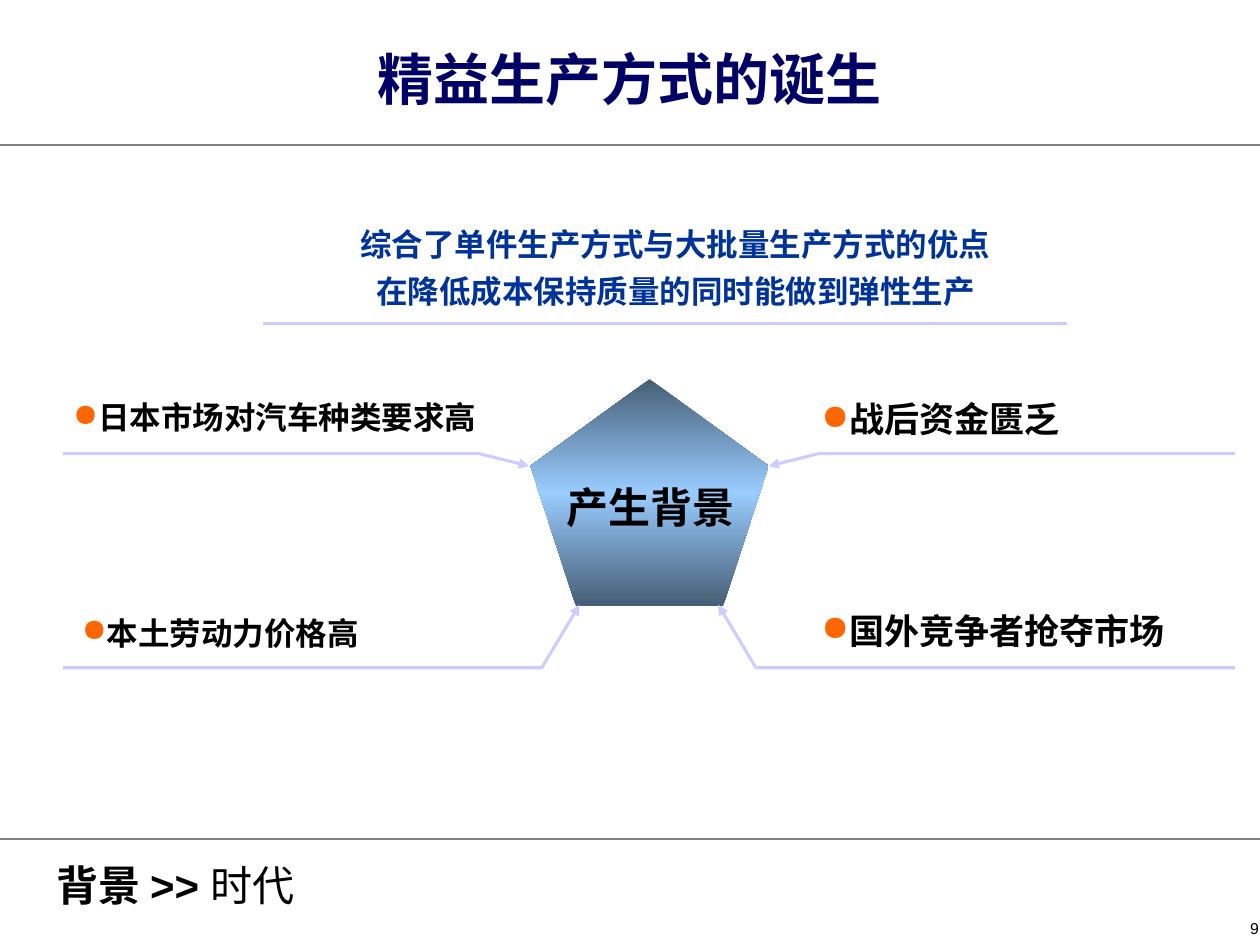
import copy
import dataclasses
import typing

import lxml.etree
import pptx
import pptx.dml.color
import pptx.enum.shapes
import pptx.enum.text
import pptx.oxml.ns
import pptx.util

RGBColor = pptx.dml.color.RGBColor
Align = pptx.enum.text.PP_ALIGN
Anchor = pptx.enum.text.MSO_ANCHOR

COLUMNS, ROWS = 100, 75
CELL = pptx.util.Inches(0.1)
AXIS = 51.5
FONT = "Arial"

BLACK = RGBColor(0x00, 0x00, 0x00)
NAVY = RGBColor(0x00, 0x00, 0x66)
BLUE = RGBColor(0x00, 0x33, 0x99)
GRAY = RGBColor(0x80, 0x80, 0x80)
LAVENDER = RGBColor(0xCC, 0xCC, 0xFF)
ORANGE = RGBColor(0xFF, 0x66, 0x00)
STEEL = RGBColor(0x46, 0x5E, 0x75)
SKY = RGBColor(0x99, 0xCC, 0xFF)

Point = tuple[float, float]


@dataclasses.dataclass(frozen=True)
class Label:
    """A block of text placed on the grid; each line is a tuple of (text, bold) runs."""
    column: float
    row: float
    width: float
    height: float
    lines: tuple[tuple[tuple[str, bool], ...], ...]
    size: float
    color: RGBColor = BLACK
    align: typing.Any = Align.LEFT
    anchor: typing.Any = Anchor.BOTTOM
    inset: Point = (0, 0)
    space_before: float = 0
    line_spacing: float = 1.0
    bullet: bool = False
    wrap: bool = True


@dataclasses.dataclass(frozen=True)
class Rule:
    """A horizontal line on the grid."""
    start: float
    end: float
    row: float
    color: RGBColor
    weight: float


def bold_lines(*texts: str) -> tuple[tuple[tuple[str, bool], ...], ...]:
    """Return one bold run per line."""
    return tuple(((text, True),) for text in texts)


def cause(column: float, row: float, width: float, height: float, text: str, size: float) -> Label:
    """Return a bulleted cause around the pentagon."""
    return Label(column, row, width, height, bold_lines(text), size, space_before=6, bullet=True)


PADDED = (1, 0.5)
LABELS = (
    Label(93.2, 72.6, 7.7, 2.3, ((("9", False),),), 9, align=Align.RIGHT, anchor=Anchor.TOP,
          inset=PADDED, line_spacing=0.9, wrap=False),
    Label(5, 3, 90, 12.5, bold_lines("精益生产方式的诞生"), 32, NAVY, Align.CENTER, Anchor.TOP, PADDED),
    Label(3.5, 68.2, 28.4, 4.6, ((("背景 >> ", True), ("时代", False)),), 24, anchor=Anchor.TOP,
          inset=PADDED, space_before=7.5, line_spacing=0.9),
    cause(65.2, 48.4, 32.4, 3.3, "国外竞争者抢夺市场", 20),
    cause(65.2, 31.6, 32.4, 3.3, "战后资金匮乏", 20),
    cause(6.5, 48.7, 35, 3, "本土劳动力价格高", 18),
    cause(5.8, 31.6, 35, 3, "日本市场对汽车种类要求高", 18),
    Label(43.6, 38.2, 16, 4, bold_lines("产生背景"), 24, align=Align.CENTER,
          anchor=Anchor.MIDDLE, space_before=7.5),
    Label(27.2, 17.8, 52.8, 6.8,
          bold_lines("综合了单件生产方式与大批量生产方式的优点", "在降低成本保持质量的同时能做到弹性生产"),
          18, BLUE, Align.CENTER, space_before=5.6),
)
RULES = (
    Rule(0, COLUMNS, 66.6, GRAY, 0.75),
    Rule(0, COLUMNS, 11.5, GRAY, 0.75),
    Rule(20.9, 84.7, 25.7, LAVENDER, 1.75),
)
LEFT_LEADERS: tuple[tuple[Point, ...], ...] = (
    ((41.9, 37), (37.6, 35.9), (5.3, 36)),
    ((45.6, 48.2), (43, 52.7), (5.4, 52.6)),
)


def grid(cells: float) -> int:
    """Convert grid cells to a length."""
    return round(cells * CELL)


def add_child(parent: typing.Any, tag: str, **attributes: str) -> typing.Any:
    """Append a DrawingML element."""
    return lxml.etree.SubElement(parent, pptx.oxml.ns.qn(tag), attributes)


def draw_label(slide: typing.Any, label: Label) -> None:
    """Draw a block of text."""
    box = slide.shapes.add_textbox(*map(grid, (label.column, label.row, label.width, label.height)))
    frame = box.text_frame
    frame.word_wrap = label.wrap
    frame.vertical_anchor = label.anchor
    frame.margin_left = frame.margin_right = grid(label.inset[0])
    frame.margin_top = frame.margin_bottom = grid(label.inset[1])
    for index, line in enumerate(label.lines):
        paragraph = frame.add_paragraph() if index else frame.paragraphs[0]
        paragraph.alignment = label.align
        paragraph.space_before = pptx.util.Pt(label.space_before)
        paragraph.line_spacing = label.line_spacing
        if label.bullet:
            properties = paragraph._p.get_or_add_pPr()
            add_child(add_child(properties, "a:buClr"), "a:srgbClr", val=str(ORANGE))
            add_child(properties, "a:buChar", char="●")
        paragraph.font.name = FONT
        paragraph.font.size = pptx.util.Pt(label.size)
        paragraph.font.color.rgb = label.color
        for text, bold in line:
            run = paragraph.add_run()
            run.text = text
            run.font.bold = bold


def draw_rule(slide: typing.Any, rule: Rule) -> None:
    """Draw a horizontal line."""
    connector = slide.shapes.add_connector(
        pptx.enum.shapes.MSO_CONNECTOR.STRAIGHT,
        grid(rule.start), grid(rule.row), grid(rule.end), grid(rule.row))
    connector.line.color.rgb = rule.color
    connector.line.width = pptx.util.Pt(rule.weight)
    add_child(connector._element.spPr, "a:effectLst")


def draw_leader(slide: typing.Any, points: typing.Sequence[Point]) -> None:
    """Draw a bent line with an arrowhead at its first point."""
    builder = slide.shapes.build_freeform(*points[0], scale=CELL)
    builder.add_line_segments(points[1:], close=False)
    leader = builder.convert_to_shape()
    leader.shadow.inherit = False
    leader.fill.background()
    leader.line.color.rgb = LAVENDER
    leader.line.width = pptx.util.Pt(1.75)
    add_child(leader.line._get_or_add_ln(), "a:headEnd", type="triangle")


def draw_pentagon(slide: typing.Any) -> None:
    """Draw the central pentagon with a light band across its middle."""
    pentagon = slide.shapes.add_shape(
        pptx.enum.shapes.MSO_SHAPE.REGULAR_PENTAGON, *map(grid, (42.1, 30.1, 18.9, 18)))
    pentagon.shadow.inherit = False
    pentagon.line.fill.background()
    pentagon.fill.gradient()
    pentagon.fill.gradient_angle = 90
    stop_list = pentagon._element.spPr.find(".//" + pptx.oxml.ns.qn("a:gsLst"))
    stop_list.insert(1, copy.deepcopy(stop_list[0]))
    for stop, position, color in zip(pentagon.fill.gradient_stops, (0, 0.5, 1), (STEEL, SKY, STEEL)):
        stop.position = position
        stop.color.rgb = color


def main() -> None:
    """Build the slide and save it."""
    deck = pptx.Presentation()
    deck.slide_width, deck.slide_height = grid(COLUMNS), grid(ROWS)
    slide = deck.slides.add_slide(deck.slide_layouts[6])
    draw_pentagon(slide)
    for label in LABELS:
        draw_label(slide, label)
    for leader in LEFT_LEADERS:
        draw_leader(slide, leader)
        draw_leader(slide, [(2 * AXIS - column, row) for column, row in leader])
    for rule in RULES:
        draw_rule(slide, rule)
    deck.save("out.pptx")


if __name__ == "__main__":
    main()
